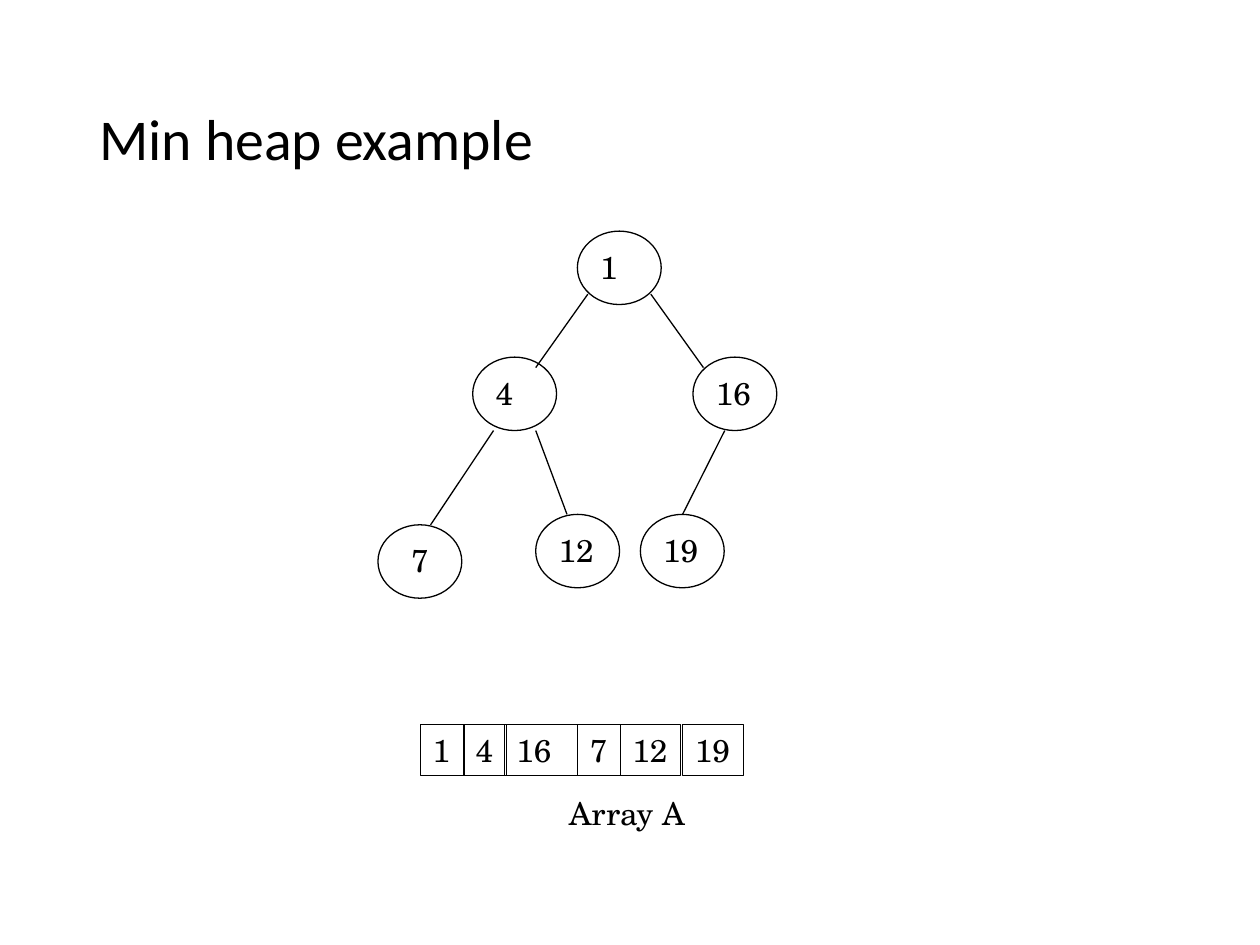
import pptx
import pptx.util
import pptx.dml.color
import pptx.enum.shapes
import pptx.enum.text
import pptx.oxml.ns
import lxml.etree

Cm = pptx.util.Cm
Pt = pptx.util.Pt
SHAPE = pptx.enum.shapes.MSO_SHAPE


def color(value):
    return pptx.dml.color.RGBColor.from_string(value)


def write(sp, text, wrap=False, font="TeX Gyre Schola", size=18):
    tf = sp.text_frame
    tf.text = text
    tf.word_wrap = wrap
    p = tf.paragraphs[0]
    p.alignment = pptx.enum.text.PP_ALIGN.LEFT
    r = p.runs[0]
    r.font.name = font
    r.font.size = Pt(size)
    r.font.color.rgb = color("000000")


prs = pptx.Presentation()
prs.slide_width = Cm(25.4)
prs.slide_height = Cm(19.05)
s = prs.slides.add_slide(prs.slide_layouts[6])

title = s.shapes.add_textbox(Cm(1.75), Cm(1.02), Cm(21.9), Cm(3.68))
write(title, "Min heap example", True, "Calibri", 33)
title.text_frame.vertical_anchor = pptx.enum.text.MSO_ANCHOR.MIDDLE
title.text_frame.paragraphs[0].line_spacing = 0.9

cells = [
    ("1", 8.47, 0.89),
    ("4", 9.34, 0.86),
    ("16", 10.16, 1.48),
    ("7", 11.64, 0.86),
    ("12", 12.5, 1.22),
    ("19", 13.76, 1.22),
]
for text, left, width in cells:
    sp = s.shapes.add_shape(SHAPE.RECTANGLE, Cm(left), Cm(14.61), Cm(width), Cm(1.02))
    sp.shadow.inherit = False
    sp.fill.background()
    sp.line.color.rgb = color("000000")
    sp.line.width = Pt(0.25)
    write(sp, text, text == "16")

caption = s.shapes.add_textbox(Cm(11.22), Cm(15.88), Cm(3.61), Cm(1.07))
write(caption, "Array A", True)

nodes = [
    ("1", 11.64, 4.66, 0.21),
    ("4", 9.53, 7.2, 0.21),
    ("16", 13.97, 7.2, 0.21),
    ("12", 10.8, 10.37, 0.21),
    ("7", 7.62, 10.58, 0.42),
    ("19", 12.91, 10.37, 0.21),
]
for text, left, top, indent in nodes:
    sp = s.shapes.add_shape(SHAPE.OVAL, Cm(left), Cm(top), Cm(1.69), Cm(1.48))
    sp.shadow.inherit = False
    sp.fill.background()
    sp.line.color.rgb = color("000000")
    sp.line.width = Pt(0.75)
    width = 0.87 if len(text) == 1 else 1.22
    label = s.shapes.add_textbox(Cm(left + indent), Cm(top + 0.21), Cm(width), Cm(1.02))
    write(label, text)

edges = [
    (11.85, 5.93, 10.8, 7.41),
    (9.95, 8.68, 8.68, 10.58),
    (10.8, 8.68, 11.43, 10.37),
    (13.12, 5.93, 14.18, 7.41),
    (14.61, 8.68, 13.76, 10.37),
]
for edge in edges:
    line = s.shapes.add_connector(
        pptx.enum.shapes.MSO_CONNECTOR.STRAIGHT, *[Cm(v) for v in edge]
    )
    line.line.color.rgb = color("000000")
    line.line.width = Pt(0.75)
    lxml.etree.SubElement(line._element.spPr, pptx.oxml.ns.qn("a:effectLst"))

prs.save("out.pptx")
